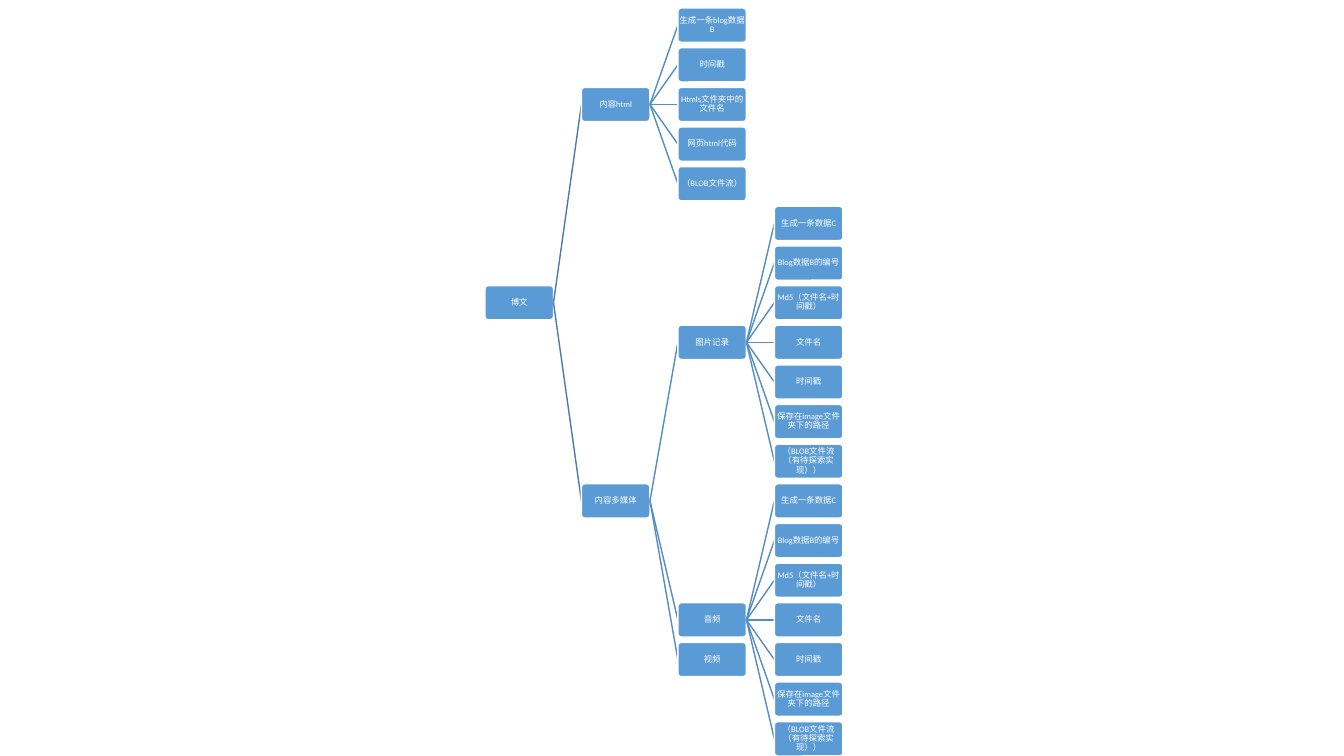
"""Draw the storage tree of a blog post as a left-to-right hierarchy."""
from dataclasses import dataclass

from lxml import etree
from pptx import Presentation
from pptx import util as u
from pptx.dml.color import RGBColor
from pptx.enum import shapes, text
from pptx.oxml.ns import qn

WIDTH, HEIGHT = 13.33, 7.5
LEFT, TOP = 4.81, 0.08
COLUMN_STEP = (7.68 - LEFT) / 3
ROW_STEP = (7.16 - TOP) / 18
BOX_WIDTH, BOX_HEIGHT = 0.68, 0.34
BOX_FILL, WHITE = "5B9BD5", "FFFFFF"
ROOT_LINK, LINK = "497CAB", "538DC1"


@dataclass(frozen=True)
class Topic:
    label: str
    row: float
    children: tuple["Topic", ...] = ()


def fan(labels: tuple[str, ...], middle: float) -> tuple[Topic, ...]:
    first = middle - (len(labels) - 1) / 2
    return tuple(Topic(label, first + i) for i, label in enumerate(labels))


HTML_FIELDS = ("生成一条blog数据B", "时间戳", "Htmls文件夹中的文件名",
               "网页html代码", "（BLOB文件流）")
MEDIA_FIELDS = ("生成一条数据C", "Blog数据B的编号", "Md5（文件名+时间戳）", "文件名",
                "时间戳", "保存在image文件夹下的路径", "（BLOB文件流（有待探索实现））")
POST = Topic("博文", 7, (
    Topic("内容html", 2, fan(HTML_FIELDS, 2)),
    Topic("内容多媒体", 12, (
        Topic("图片记录", 8, fan(MEDIA_FIELDS, 8)),
        Topic("音频", 15, fan(MEDIA_FIELDS, 15)),
        Topic("视频", 16),
    )),
))


def color(value: str) -> RGBColor:
    return RGBColor.from_string(value)


def add_box(page, topic: Topic, column: int):
    box = page.shapes.add_shape(
        shapes.MSO_SHAPE.ROUNDED_RECTANGLE,
        u.Inches(LEFT + column * COLUMN_STEP), u.Inches(TOP + topic.row * ROW_STEP),
        u.Inches(BOX_WIDTH), u.Inches(BOX_HEIGHT))
    box.adjustments[0] = 0.1
    box.shadow.inherit = False
    box.fill.solid()
    box.fill.fore_color.rgb = color(BOX_FILL)
    box.line.color.rgb = color(WHITE)
    box.line.width = u.Pt(1)
    frame = box.text_frame
    frame.word_wrap = True
    frame.vertical_anchor = text.MSO_ANCHOR.MIDDLE
    frame.margin_left = frame.margin_right = frame.margin_top = frame.margin_bottom = 0
    para = frame.paragraphs[0]
    para.alignment = text.PP_ALIGN.CENTER
    para.line_spacing = 0.9
    para.space_after = u.Pt(2.1)
    span = para.add_run()
    span.text = topic.label
    span.font.name = "Calibri"
    span.font.size = u.Pt(6)
    span.font.color.rgb = color(WHITE)
    return box


def add_link(page, line_color: str):
    link = page.shapes.add_connector(shapes.MSO_CONNECTOR.STRAIGHT, 0, 0, 0, 0)
    link.line.color.rgb = color(line_color)
    link.line.width = u.Pt(1)
    etree.SubElement(link._element.spPr, qn("a:effectLst"))
    return link


def draw_tree(page, topic: Topic, column: int = 0):
    box = add_box(page, topic, column)
    for child in topic.children:
        link = add_link(page, LINK if column else ROOT_LINK)
        child_box = draw_tree(page, child, column + 1)
        link.begin_connect(box, 3)
        link.end_connect(child_box, 1)
    return box


def main() -> None:
    deck = Presentation()
    deck.slide_width, deck.slide_height = u.Inches(WIDTH), u.Inches(HEIGHT)
    page = deck.slides.add_slide(deck.slide_layouts[6])
    draw_tree(page, POST)
    deck.save("out.pptx")


if __name__ == "__main__":
    main()
